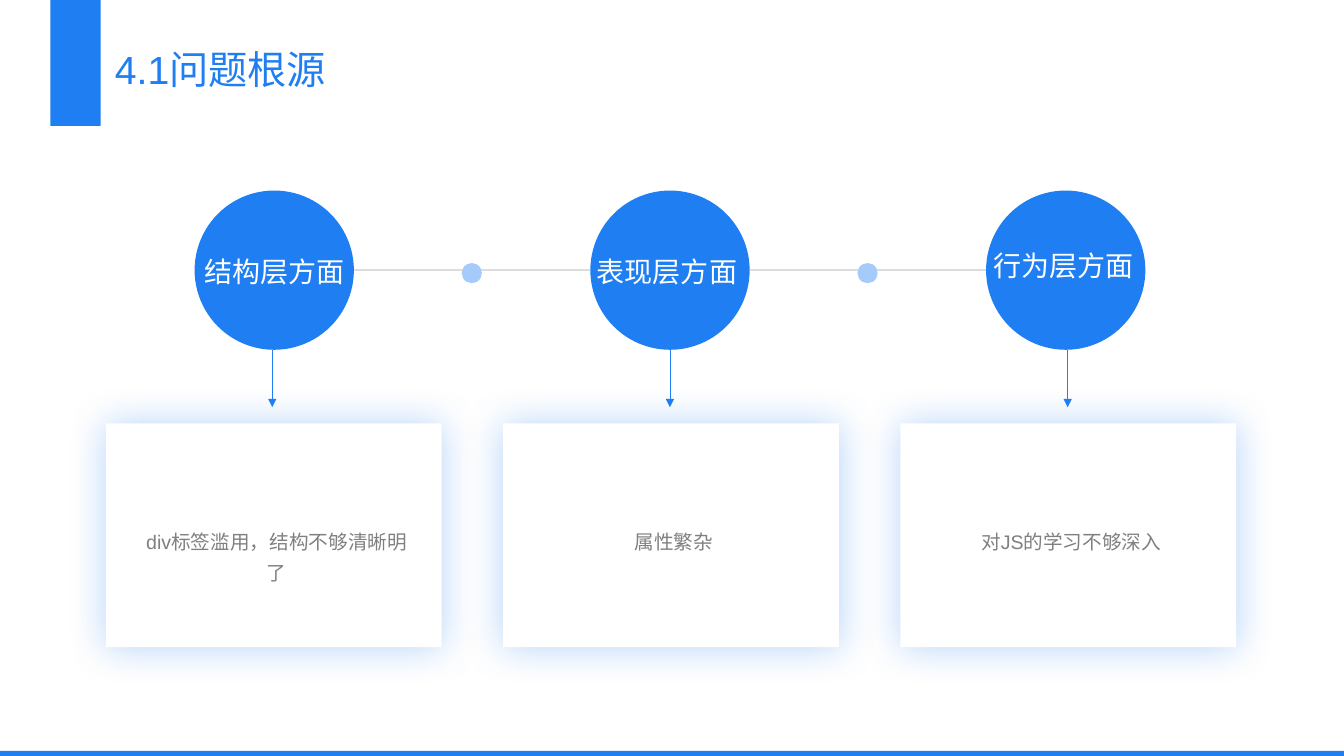
import pptx
import pptx.dml.color
import pptx.enum.shapes
import pptx.enum.text
import pptx.oxml
import pptx.oxml.ns
import pptx.util
import lxml.etree

Inches = pptx.util.Inches
Pt = pptx.util.Pt
RGBColor = pptx.dml.color.RGBColor
Shapes = pptx.enum.shapes.MSO_SHAPE
Align = pptx.enum.text.PP_ALIGN
qn = pptx.oxml.ns.qn

BLUE = RGBColor(0x1E, 0x7E, 0xF2)
LIGHT_BLUE = RGBColor(0xA5, 0xCB, 0xFA)
LINE_GRAY = RGBColor(0xDC, 0xDC, 0xDC)
TEXT_GRAY = RGBColor(0x80, 0x80, 0x80)
WHITE = RGBColor(0xFF, 0xFF, 0xFF)

presentation = pptx.Presentation()
presentation.slide_width = Inches(13.33)
presentation.slide_height = Inches(7.5)
slide = presentation.slides.add_slide(presentation.slide_layouts[5])


def add_filled(preset, left, top, width, height, color):
    """Add a plain filled shape without outline or shadow."""
    shape = slide.shapes.add_shape(
        preset, Inches(left), Inches(top), Inches(width), Inches(height))
    shape.shadow.inherit = False
    shape.fill.solid()
    shape.fill.fore_color.rgb = color
    shape.line.fill.background()
    return shape


def write_text(shape, text, size, color, alignment, wrap=True):
    """Write one top-anchored paragraph into a text shape."""
    frame = shape.text_frame
    frame.word_wrap = wrap
    frame.auto_size = pptx.enum.text.MSO_AUTO_SIZE.NONE
    frame.vertical_anchor = pptx.enum.text.MSO_ANCHOR.TOP
    paragraph = frame.paragraphs[0]
    paragraph.alignment = alignment
    paragraph.line_spacing = 1.3
    paragraph.space_before = Pt(0)
    run = paragraph.add_run()
    run.text = text
    run.font.name = "Arial"
    run.font.size = Pt(size)
    run.font.color.rgb = color


# Page frame and title
add_filled(Shapes.RECTANGLE, 0, 7.45, 13.33, 0.05, BLUE)
add_filled(Shapes.RECTANGLE, 0.5, 0, 0.5, 1.25, BLUE)
title = slide.shapes.title
title.left, title.top = Inches(1.04), Inches(0.26)
title.width, title.height = Inches(4.02), Inches(0.88)
write_text(title, "4.1问题根源", 28, BLUE, Align.LEFT)

# Each aspect: label, label left, label top, label alignment, cause
aspects = [
    ("结构层方面", 1.93, 2.38, Align.LEFT, "div标签滥用，结构不够清晰明了"),
    ("表现层方面", 5.94, 2.38, Align.CENTER, "属性繁杂"),
    ("行为层方面", 9.87, 2.32, Align.CENTER, "对JS的学习不够深入"),
]
CIRCLE_LEFT, CIRCLE_STEP, CIRCLE_SIZE = 1.93, 3.925, 1.58
CARD_LEFT, CARD_STEP = 1.05, 3.94
connectors = []

for index, (label, label_left, label_top, alignment, cause) in enumerate(aspects):
    circle_left = CIRCLE_LEFT + index * CIRCLE_STEP
    card_left = CARD_LEFT + index * CARD_STEP

    add_filled(Shapes.OVAL, circle_left, 1.89, CIRCLE_SIZE, CIRCLE_SIZE, BLUE)
    label_box = slide.shapes.add_textbox(
        Inches(label_left), Inches(label_top), Inches(1.35), Inches(0.84))
    write_text(label_box, label, 20, WHITE, alignment, wrap=False)

    card = add_filled(Shapes.RECTANGLE, card_left, 4.2, 3.33, 2.22, WHITE)
    effects = card._element.spPr.find(qn("a:effectLst"))
    glow = lxml.etree.SubElement(
        effects, qn("a:outerShdw"), blurRad=str(Pt(28)), dist="0", dir="0",
        algn="ctr", rotWithShape="0")
    glow_color = lxml.etree.SubElement(glow, qn("a:srgbClr"), val=str(BLUE))
    lxml.etree.SubElement(glow_color, qn("a:alpha"), val="32000")

    cause_box = slide.shapes.add_textbox(
        Inches(card_left + 0.26), Inches(5.14), Inches(2.87), Inches(1.15))
    write_text(cause_box, cause, 14, TEXT_GRAY, Align.CENTER)

    arrow_x = 2.7 + index * 3.945
    connectors.append((arrow_x, 3.47, arrow_x, 4.04, BLUE, 0.5, True))
    if index:
        previous_edge = circle_left - CIRCLE_STEP + CIRCLE_SIZE
        connectors.append(
            (circle_left, 2.68, previous_edge, 2.68, LINE_GRAY, 1.5, False))

for start_x, start_y, end_x, end_y, color, width, has_arrow in connectors:
    connector = slide.shapes.add_connector(
        pptx.enum.shapes.MSO_CONNECTOR.STRAIGHT,
        Inches(start_x), Inches(start_y), Inches(end_x), Inches(end_y))
    connector.line.color.rgb = color
    connector.line.width = Pt(width)
    properties = connector._element.spPr
    if has_arrow:
        lxml.etree.SubElement(
            properties.find(qn("a:ln")), qn("a:tailEnd"), type="triangle")
    lxml.etree.SubElement(properties, qn("a:effectLst"))

# Dots midway between the circles
for index in range(2):
    add_filled(Shapes.OVAL, 4.58 + index * CIRCLE_STEP, 2.61, 0.2, 0.2, LIGHT_BLUE)

presentation.save("out.pptx")
